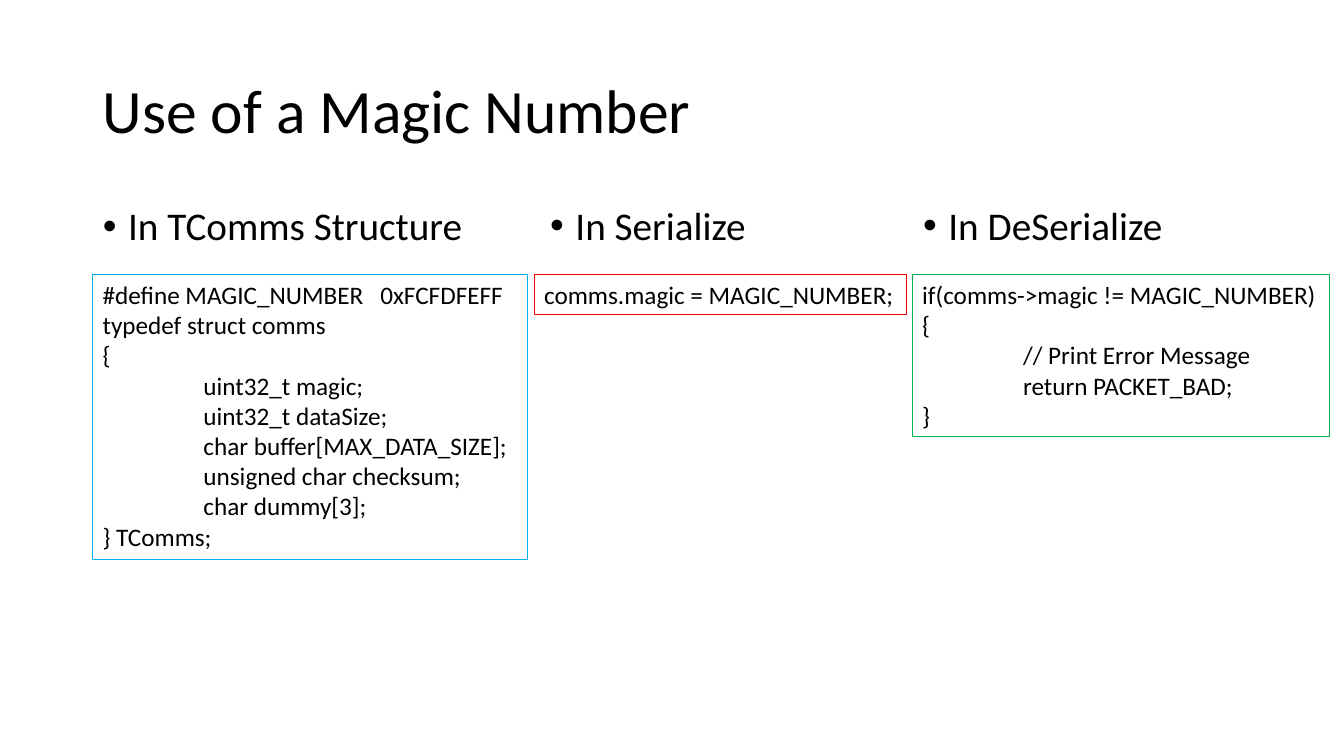
from dataclasses import dataclass

from lxml.etree import SubElement
from pptx import Presentation
from pptx.dml.color import RGBColor as Rgb
from pptx.enum.shapes import MSO_SHAPE as Preset
from pptx.enum.text import MSO_ANCHOR as Anchor, MSO_AUTO_SIZE as Fit, PP_ALIGN as Align
from pptx.oxml.ns import qn
from pptx.util import Inches, Pt

WIDTH, HEIGHT = Inches(13.33), Inches(7.5)
HEADING_ROW, CODE_ROW = 26.67, 36.27
HEADING_SIZE = (30.98, 7.73)
CODE_PADDING, CODE_LINE = 1.33, 4.04


@dataclass(frozen=True)
class Theme:
    font: str = "Calibri"
    ink: str = "000000"
    structure: str = "00B0F0"
    serialize: str = "FF0000"
    deserialize: str = "00B050"
    title: int = 44
    heading: int = 28
    code: int = 18
    outline: float = 0.75


THEME = Theme()

STRUCTURE_CODE = """#define MAGIC_NUMBER   0xFCFDFEFF
typedef struct comms
{
\tuint32_t magic;
\tuint32_t dataSize;
\tchar buffer[MAX_DATA_SIZE];
\tunsigned char checksum;
\tchar dummy[3];
} TComms;"""

SERIALIZE_CODE = "comms.magic = MAGIC_NUMBER;"

DESERIALIZE_CODE = """if(comms->magic != MAGIC_NUMBER)
{
\t// Print Error Message
\treturn PACKET_BAD;
}"""


def area(left, top, width, height):
    return (int(WIDTH * left / 100), int(HEIGHT * top / 100),
            int(WIDTH * width / 100), int(HEIGHT * height / 100))


def place(part, bounds):
    part.left, part.top, part.width, part.height = bounds


def write(paragraph, words, size):
    paragraph.alignment = Align.LEFT
    run = paragraph.add_run()
    run.text = words
    run.font.name = THEME.font
    run.font.size = Pt(size)
    run.font.color.rgb = Rgb.from_string(THEME.ink)


def fill_title(title, words):
    place(title, area(6.9, 5.33, 86.25, 19.33))
    frame = title.text_frame
    frame.auto_size = Fit.NONE
    frame.vertical_anchor = Anchor.MIDDLE
    paragraph = frame.paragraphs[0]
    paragraph.line_spacing = 0.9
    write(paragraph, words, THEME.title)


def fill_heading(heading, left, words):
    place(heading, area(left, HEADING_ROW, *HEADING_SIZE))
    frame = heading.text_frame
    frame.word_wrap = True
    frame.auto_size = Fit.NONE
    frame.vertical_anchor = Anchor.TOP
    paragraph = frame.paragraphs[0]
    props = paragraph._p.get_or_add_pPr()
    props.set("marL", str(Inches(0.25)))
    props.set("indent", str(-Inches(0.25)))
    SubElement(props, qn("a:buFont"), typeface="Arial")
    SubElement(props, qn("a:buChar"), char="•")
    paragraph.line_spacing = 0.9
    paragraph.space_before = Pt(0)
    write(paragraph, words, THEME.heading)


def add_code(slide, left, width, listing, colour, wrap=True):
    lines = listing.split("\n")
    height = CODE_PADDING + CODE_LINE * len(lines)
    box = slide.shapes.add_shape(Preset.RECTANGLE, *area(left, CODE_ROW, width, height))
    box.shadow.inherit = False
    box.fill.background()
    box.line.color.rgb = Rgb.from_string(colour)
    box.line.width = Pt(THEME.outline)
    frame = box.text_frame
    frame.word_wrap = wrap
    frame.auto_size = Fit.SHAPE_TO_FIT_TEXT
    frame.vertical_anchor = Anchor.TOP
    for number, line in enumerate(lines):
        paragraph = frame.add_paragraph() if number else frame.paragraphs[0]
        paragraph._p.get_or_add_pPr().set("defTabSz", str(Inches(1)))
        write(paragraph, line, THEME.code)


def main():
    deck = Presentation()
    deck.slide_width, deck.slide_height = WIDTH, HEIGHT
    slide = deck.slides.add_slide(deck.slide_layouts[1])

    fill_title(slide.shapes.title, "Use of a Magic Number")

    fill_heading(slide.placeholders[1], 6.9, "In TComms Structure")
    for left, words in ((40.2, "In Serialize"), (67.95, "In DeSerialize")):
        heading = slide.shapes.add_textbox(*area(left, HEADING_ROW, *HEADING_SIZE))
        fill_heading(heading, left, words)

    add_code(slide, 6.9, 32.33, STRUCTURE_CODE, THEME.structure)
    add_code(slide, 39.75, 27.68, SERIALIZE_CODE, THEME.serialize)
    add_code(slide, 67.88, 31.05, DESERIALIZE_CODE, THEME.deserialize, wrap=False)

    deck.save("out.pptx")


if __name__ == "__main__":
    main()
